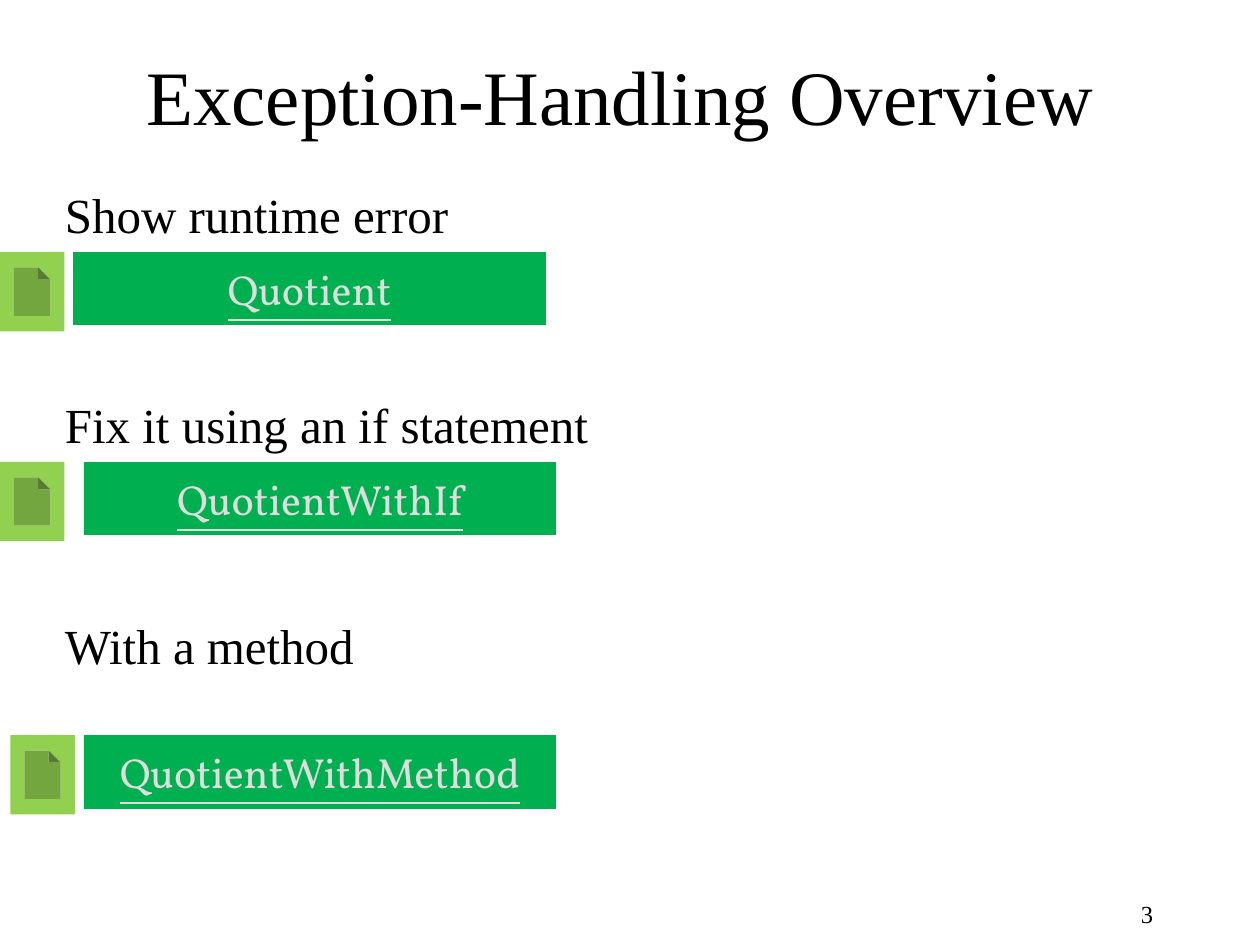
from pptx import Presentation, util as u
from pptx.dml.color import RGBColor
from pptx.enum import shapes, text

CENTER, RIGHT, LEFT = text.PP_ALIGN.CENTER, text.PP_ALIGN.RIGHT, text.PP_ALIGN.LEFT


def rgb(value):
    return RGBColor.from_string(value)


class Deck:
    serif, display = "Times New Roman", "Vollkorn"
    black, pale, green, lime = "000000", "DDDDDD", "00B050", "92D050"

    def __init__(self, prs):
        self.s = prs.slides.add_slide(prs.slide_layouts[5])

    def set_text(self, sp, words, size, align, font=serif, color=black,
                 underline=None, wrap=True, anchor=text.MSO_ANCHOR.MIDDLE):
        tf = sp.text_frame
        tf.auto_size = text.MSO_AUTO_SIZE.NONE
        tf.word_wrap, tf.vertical_anchor = wrap, anchor
        p = tf.paragraphs[0]
        p.alignment = align
        r = p.add_run()
        r.text = words
        r.font.size, r.font.name, r.font.underline = u.Pt(size), font, underline
        r.font.color.rgb = rgb(color)

    def title(self, words, x, y, w, h):
        sp = self.s.shapes.title
        sp.left, sp.top, sp.width, sp.height = map(u.Cm, (x, y, w, h))
        self.set_text(sp, words, 44, CENTER)

    def label(self, words, x, y, w, h, size=28, align=LEFT, **style):
        sp = self.s.shapes.add_textbox(*map(u.Cm, (x, y, w, h)))
        self.set_text(sp, words, size, align, **style)

    def shape(self, kind, fill, x, y, w, h):
        sp = self.s.shapes.add_shape(kind, *map(u.Cm, (x, y, w, h)))
        sp.shadow.inherit = False
        sp.fill.solid()
        sp.fill.fore_color.rgb = rgb(fill)
        sp.line.fill.background()
        return sp

    def button(self, words, x, y):
        sp = self.shape(shapes.MSO_SHAPE.ACTION_BUTTON_CUSTOM, self.green,
                        x, y, 9.52, 1.48)
        self.set_text(sp, words, 24, CENTER, self.display, self.pale,
                      underline=True, wrap=False)

    def document(self, x, y):
        self.shape(shapes.MSO_SHAPE.ACTION_BUTTON_DOCUMENT, self.lime,
                   x, y, 1.3, 1.6)


def main():
    prs = Presentation()
    prs.slide_width, prs.slide_height = u.Cm(25.4), u.Cm(19.05)
    deck = Deck(prs)

    # Title; its trailing space is part of the centred line
    deck.title("Exception-Handling Overview ", 0.85, 1.06, 23.7, 1.7)

    # Examples: heading, heading top, program, button left, icon left, row top
    examples = [
        ("Show runtime error", 3.6, "Quotient", 1.48, 0, 5.08),
        ("Fix it using an if statement", 7.83, "QuotientWithIf", 1.69, 0, 9.31),
        ("With a method", 12.28, "QuotientWithMethod", 1.69, 0.21, 14.82),
    ]
    for heading, top, program, button_x, icon_x, row_y in examples:
        deck.label(heading, 1.06, top, 23.7, 1.45, anchor=text.MSO_ANCHOR.TOP)
        deck.button(program, button_x, row_y)
        deck.document(icon_x, row_y)

    # Slide number
    deck.label("3", 18.2, 17.78, 5.3, 1.27, size=14, align=RIGHT, wrap=False)

    prs.save("out.pptx")


if __name__ == "__main__":
    main()
